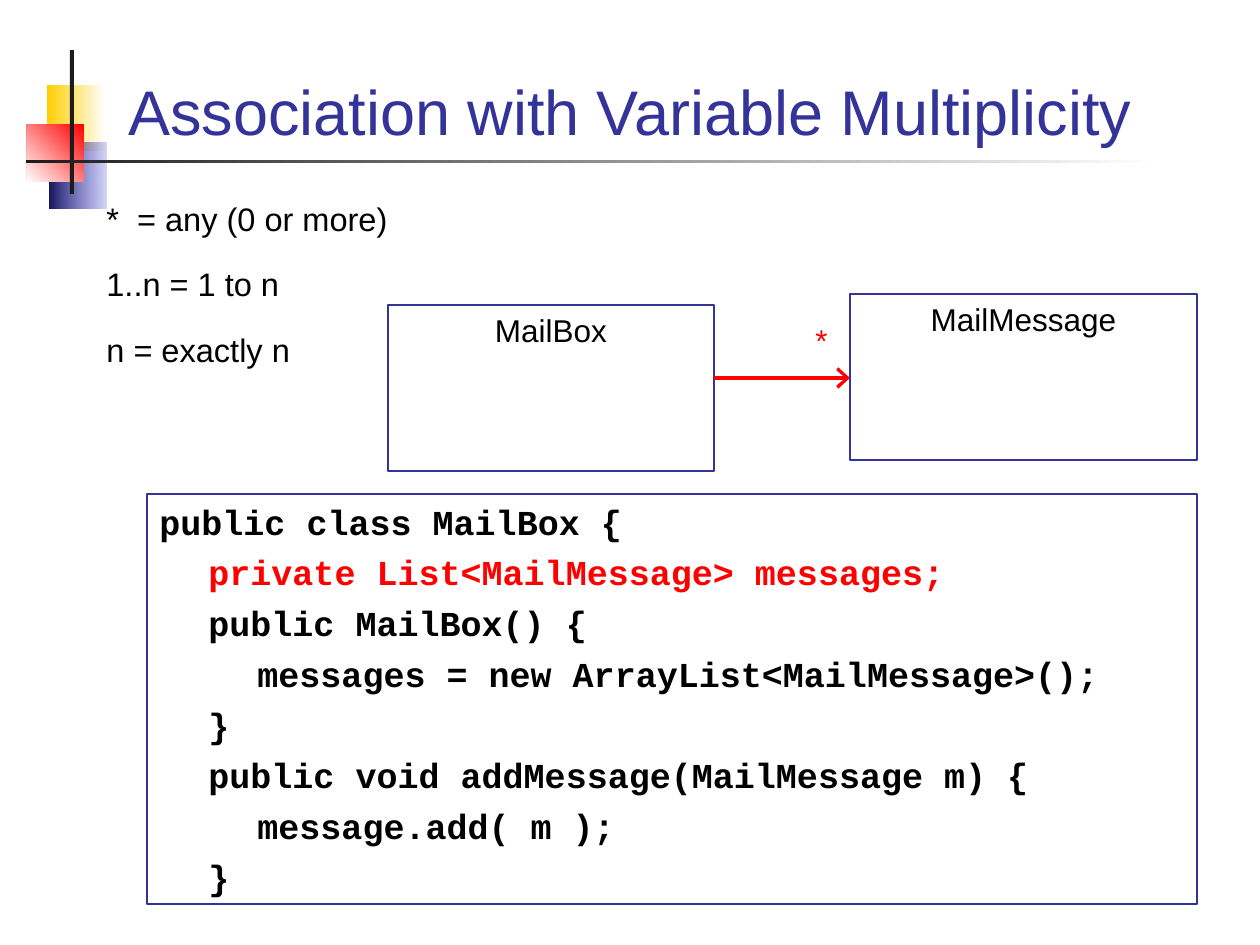
from lxml.etree import SubElement
from pptx import Presentation
from pptx.dml.color import RGBColor
from pptx.enum.shapes import MSO_CONNECTOR, MSO_SHAPE
from pptx.enum.text import MSO_ANCHOR, PP_ALIGN
from pptx.oxml.ns import qn
from pptx.util import Emu, Pt

WHITE = RGBColor(0xFF, 0xFF, 0xFF)
BLACK = RGBColor(0x00, 0x00, 0x00)
CHARCOAL = RGBColor(0x1C, 0x1C, 0x1C)
YELLOW = RGBColor(0xFF, 0xCF, 0x01)
RED = RGBColor(0xFF, 0x00, 0x00)
NAVY = RGBColor(0x17, 0x17, 0x5E)
BLUE = RGBColor(0x33, 0x33, 0xCC)
INDIGO = RGBColor(0x33, 0x33, 0x99)

SCALE = 914400 / 126
TAB = 49

CODE = [
    "public class MailBox {",
    "\tprivate List<MailMessage> messages;",
    "\tpublic MailBox() {",
    "\t\tmessages = new ArrayList<MailMessage>();",
    "\t}",
    "\tpublic void addMessage(MailMessage m) {",
    "\t\tmessage.add( m );",
    "\t}",
]
NOTATION = ["*  = any (0 or more)", "1..n = 1 to n", "n = exactly n"]


def px(n):
    return Emu(round(n * SCALE))


def add_rect(s, x, y, w, h):
    sp = s.shapes.add_shape(MSO_SHAPE.RECTANGLE, px(x), px(y), px(w), px(h))
    sp.shadow.inherit = False
    sp.line.fill.background()
    return sp


def add_gradient(s, x, y, w, h, start, end, angle=0):
    sp = add_rect(s, x, y, w, h)
    sp.fill.gradient()
    sp.fill.gradient_angle = angle
    for stop, color in zip(sp.fill.gradient_stops, (start, end)):
        stop.color.rgb = color
    return sp


def add_outline(s, x, y, w, h):
    sp = add_rect(s, x, y, w, h)
    sp.fill.background()
    sp.line.color.rgb = INDIGO
    sp.line.width = Pt(1)
    return sp


def write(sp, lines, size, color, font="Arial", align=PP_ALIGN.LEFT,
          anchor=MSO_ANCHOR.TOP, gap=0, bold=False):
    tf = sp.text_frame
    tf.word_wrap = True
    tf.vertical_anchor = anchor
    tf.text = "\n".join(lines)
    for i, p in enumerate(tf.paragraphs):
        p.alignment = align
        if i:
            p.space_before = Pt(gap)
        for r in p.runs:
            r.font.size = Pt(size)
            r.font.name = font
            r.font.bold = bold
            r.font.color.rgb = color
    return tf


def add_text(s, x, y, w, h, lines, size, color, **style):
    sp = s.shapes.add_textbox(px(x), px(y), px(w), px(h))
    return write(sp, lines, size, color, **style)


def add_ornament(s, x, y):
    add_gradient(s, x + 21, y + 35, 59, 66, YELLOW, WHITE)
    navy = add_gradient(s, x + 23, y + 93, 57, 66, NAVY, BLUE)
    faded = navy.fill._xPr.findall(".//" + qn("a:srgbClr"))[-1]
    SubElement(faded, qn("a:alpha"), val="20000")
    add_gradient(s, x + 1, y + 74, 57, 58, RED, WHITE, 225)
    bar = add_rect(s, x + 44, y, 4, 144)
    bar.fill.solid()
    bar.fill.fore_color.rgb = CHARCOAL
    add_gradient(s, x, y + 110, 1133, 3, CHARCOAL, WHITE)


def add_class_box(s, x, y, w, h, name):
    write(add_outline(s, x, y, w, h), [name], 18, BLACK, align=PP_ALIGN.CENTER)


def add_association(s, x, y, w, multiplicity):
    line = s.shapes.add_connector(
        MSO_CONNECTOR.STRAIGHT, px(x), px(y), px(x + w), px(y))
    line.line.color.rgb = RED
    line.line.width = Pt(2.25)
    SubElement(line.line._get_or_add_ln(), qn("a:tailEnd"), type="arrow", w="lg")
    SubElement(line._element.spPr, qn("a:effectLst"))
    add_text(s, x + 21, y - 63, 105, 50, [multiplicity], 18, RED,
             align=PP_ALIGN.RIGHT)


def add_code(s, x, y, w, h, lines, highlighted):
    tf = write(add_outline(s, x, y, w, h), lines, 20, BLACK,
               font="Courier New", gap=5, bold=True)
    for p in tf.paragraphs:
        tabs = SubElement(p._p.get_or_add_pPr(), qn("a:tabLst"))
        for level in (1, 2):
            SubElement(tabs, qn("a:tab"), pos=str(px(level * TAB)), algn="l")
    for r in tf.paragraphs[highlighted].runs:
        r.font.color.rgb = RED


def main():
    prs = Presentation()
    prs.slide_width, prs.slide_height = px(1260), px(945)
    s = prs.slides.add_slide(prs.slide_layouts[6])
    add_ornament(s, 26, 50)
    add_text(s, 84, 34, 1092, 120, ["Association with Variable Multiplicity"],
             36, INDIGO, align=PP_ALIGN.CENTER, anchor=MSO_ANCHOR.BOTTOM)
    add_text(s, 94, 193, 1091, 175, NOTATION, 18.6, BLACK, gap=15)
    add_class_box(s, 388, 305, 326, 166, "MailBox")
    add_class_box(s, 850, 294, 347, 166, "MailMessage")
    add_association(s, 714, 378, 136, "*")
    add_code(s, 147, 494, 1050, 410, CODE, 1)
    prs.save("out.pptx")


if __name__ == "__main__":
    main()
